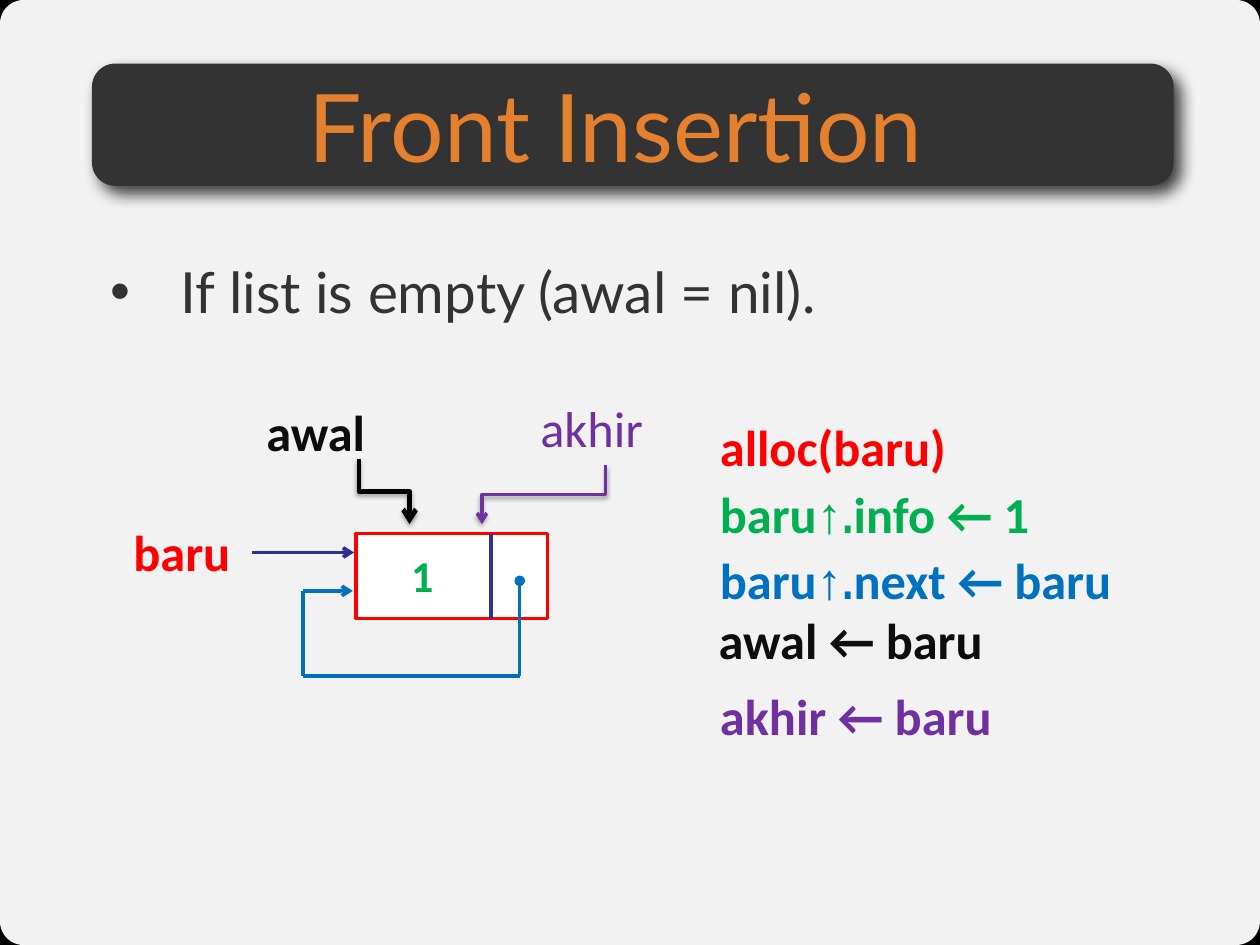
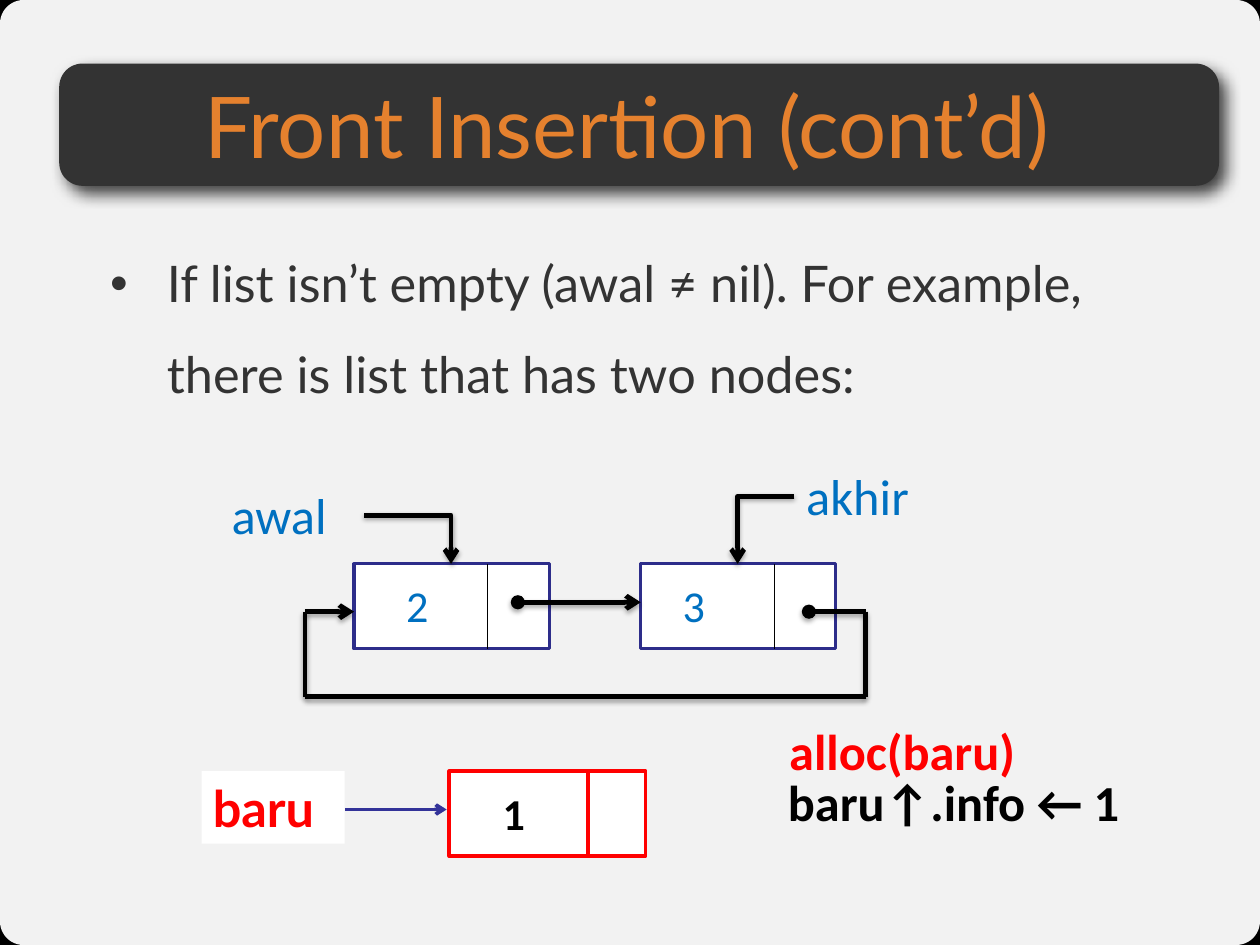
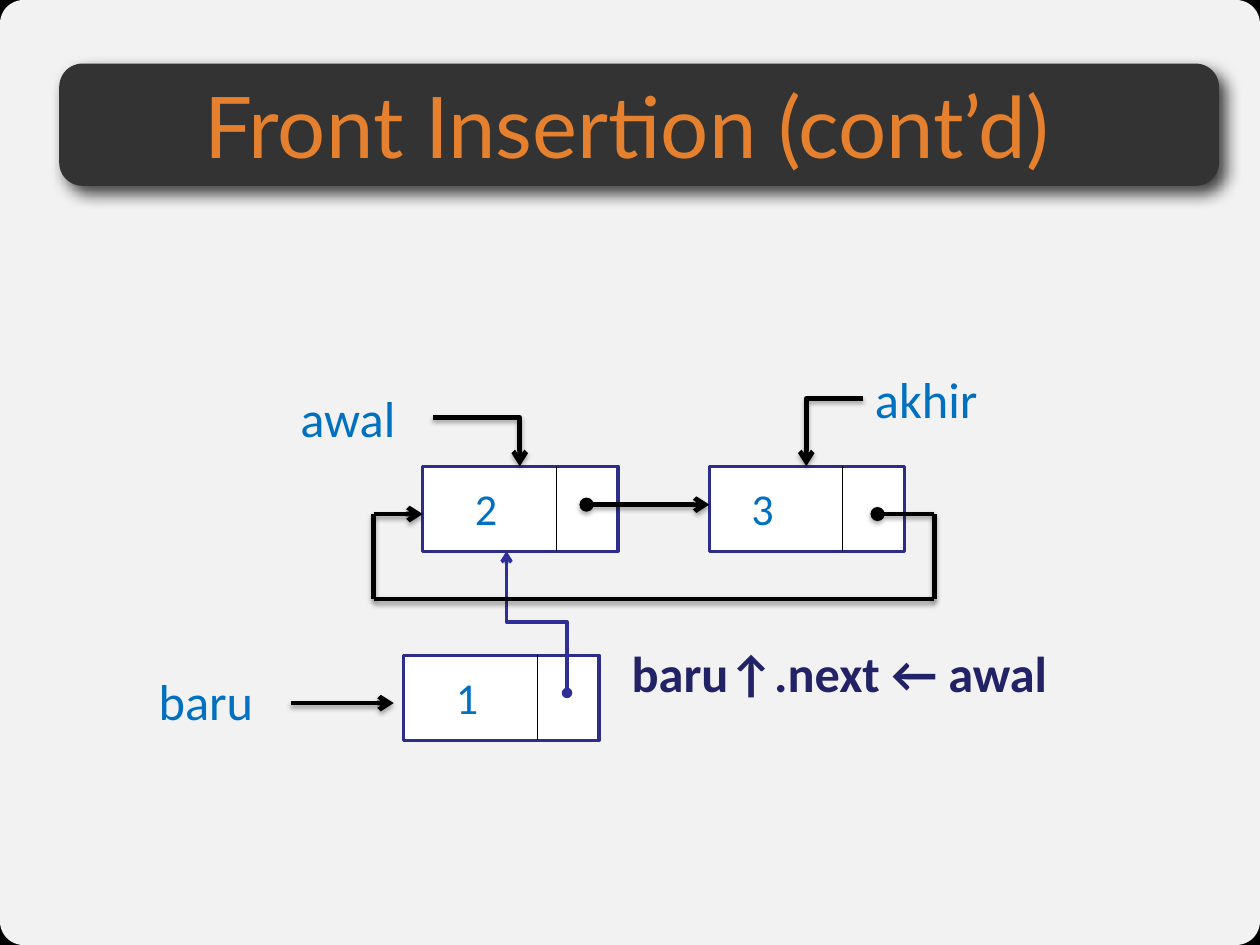
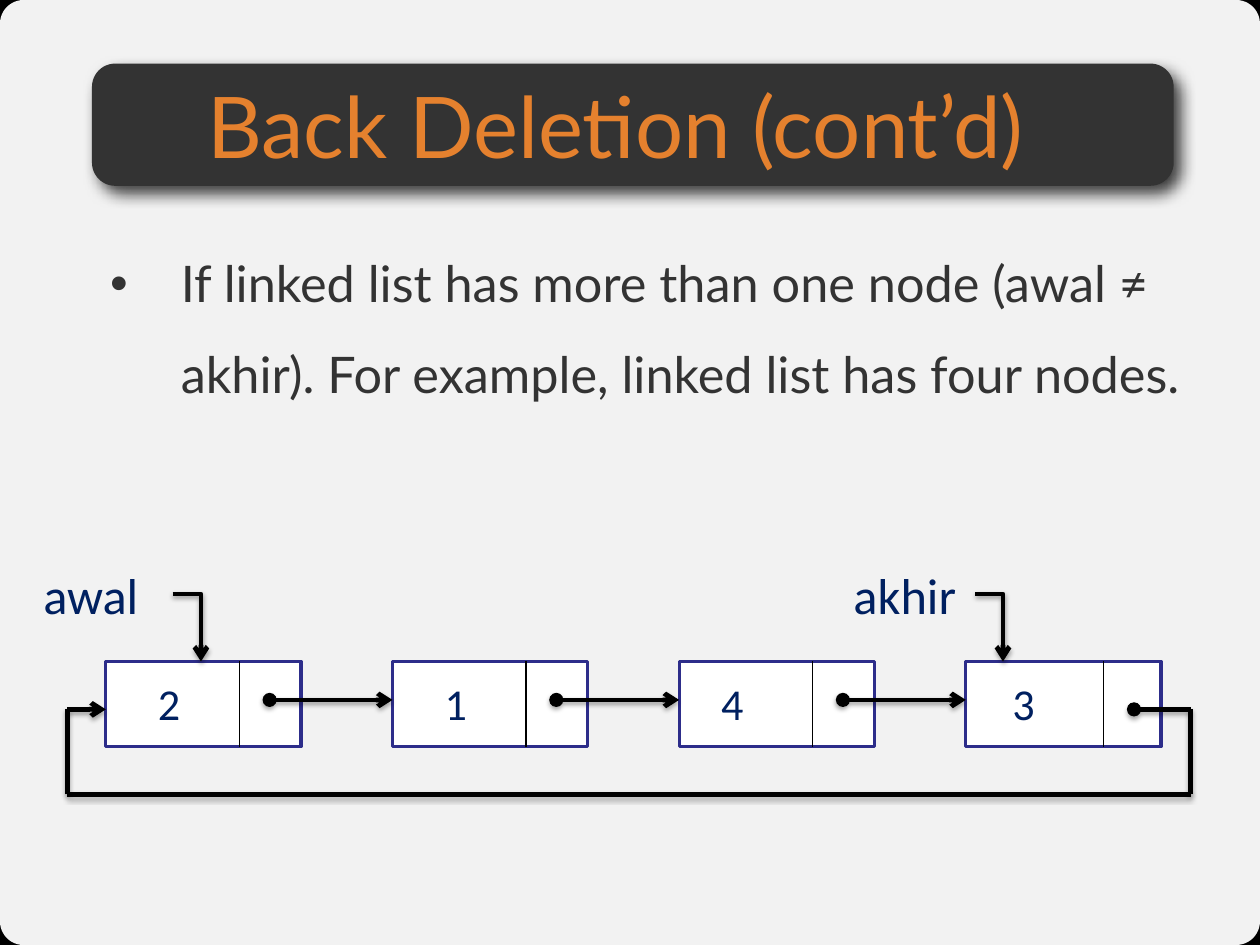
from dataclasses import dataclass
from typing import Optional, Sequence

from lxml.etree import SubElement
from pptx import Presentation
from pptx.dml.color import RGBColor
from pptx.enum.shapes import MSO_CONNECTOR, MSO_SHAPE
from pptx.enum.text import MSO_ANCHOR, PP_ALIGN
from pptx.oxml.ns import qn
from pptx.util import Emu, Pt

# The slide is a grid of 100 columns by 75 rows of square cells
CELL = Pt(8)
COLUMNS, ROWS = 100, 75

COLORS = {
    "backdrop": "000000", "panel": "FFFFFF", "band": "333333",
    "title": "E5812E", "body": "333333", "black": "000000",
    "ink": "0D0D0D", "red": "FF0000", "green": "00B050",
    "blue": "0070C0", "purple": "7030A0", "deep": "002060",
    "frame": "2D2D8A", "indigo": "2F2F98", "violet": "333399",
    "midnight": "222267", "white": "FFFFFF",
}

Point = tuple[float, float]
Area = tuple[float, float, float, float]


@dataclass(frozen=True)
class Shadow:
    opacity: int
    blur: float
    distance: float
    angle: int


@dataclass(frozen=True)
class Pen:
    color: str
    width: float
    shadow: Optional[Shadow] = None


@dataclass(frozen=True)
class Style:
    color: str
    size: int = 32
    bold: bool = False
    font: str = "Calibri"


@dataclass(frozen=True)
class Span:
    text: str
    font: Optional[str] = None


@dataclass(frozen=True)
class Band:
    bar: Area
    text: Area


@dataclass(frozen=True)
class Node:
    value: str
    label_x: float = 3.25
    divider: float = 10.6
    width: float = 15.5


@dataclass(frozen=True)
class Pointer:
    """A named pointer; its places are relative to the node's corner."""
    word: str
    node: int
    label: Point
    start: Point
    end_x: float


@dataclass(frozen=True)
class Ring:
    left: float
    top: float
    nodes: tuple[Node, ...]
    pointers: tuple[Pointer, ...]
    color: str
    overhang: float = 3.9


BAND_SHADOW = Shadow(75, 10, 6, 51)
LINE_SHADOW = Shadow(35, 3.1, 1.8, 90)
HEAVY = Pen("black", 3, LINE_SHADOW)
HAIRLINE = Pen("black", 0.75)
FRAME = Pen("frame", 2)
RED_FRAME = Pen("red", 2.25)
INDIGO = Pen("indigo", 2.25)

NARROW_BAND = Band((7.3, 5.05, 85.85, 9.7), (6.1, 5.4, 85.5, 9))
WIDE_BAND = Band((4.7, 5.05, 92.05, 9.7), (4.7, 5.4, 90.1, 9))

NODE_HEIGHT, NODE_PITCH = 6.75, 22.75
LABEL_SIZE = (11.35, 5.75)
CODE_SIZE = (37.5, 5.75)

PAIR_NODES = (Node("2"), Node("3", label_x=2.45))
PAIR_POINTERS = (
    Pointer("awal", 0, (-10.6, -6.75), (0.8, -3.85), 7.7),
    Pointer("akhir", 1, (12.25, -8.25), (12.2, -5.35), 7.7),
)


def cells(*values: float) -> list[Emu]:
    return [Emu(round(value * CELL)) for value in values]


def rgb(name: str) -> RGBColor:
    return RGBColor.from_string(COLORS[name])


def add_shadow(shape, shadow: Optional[Shadow]) -> None:
    properties = shape.element.spPr
    effects = properties.find(qn("a:effectLst"))
    if effects is None:
        effects = SubElement(properties, qn("a:effectLst"))
    if shadow:
        outer = SubElement(effects, qn("a:outerShdw"), {
            "blurRad": str(Pt(shadow.blur)), "dist": str(Pt(shadow.distance)),
            "dir": str(shadow.angle * 60000), "rotWithShape": "0"})
        color = SubElement(outer, qn("a:srgbClr"), val=COLORS["black"])
        SubElement(color, qn("a:alpha"), val=str(shadow.opacity * 1000))


# Boxes and text

def add_box(page, area: Area, fill: str, pen: Optional[Pen] = None,
            rounding: Optional[float] = None):
    kind = MSO_SHAPE.RECTANGLE if rounding is None else MSO_SHAPE.ROUNDED_RECTANGLE
    box = page.shapes.add_shape(kind, *cells(*area))
    if rounding is not None:
        box.adjustments[0] = rounding
    box.shadow.inherit = False
    box.fill.solid()
    box.fill.fore_color.rgb = rgb(fill)
    if pen:
        box.line.color.rgb = rgb(pen.color)
        box.line.width = Pt(pen.width)
    else:
        box.line.fill.background()
    return box


def add_text(page, area: Area, text: str | Sequence[Span], style: Style,
             fill: Optional[str] = None, inset: bool = True):
    box = page.shapes.add_textbox(*cells(*area))
    frame = box.text_frame
    frame.word_wrap = True
    if not inset:
        frame.margin_left = frame.margin_right = 0
        frame.margin_top = frame.margin_bottom = 0
    if fill:
        box.fill.solid()
        box.fill.fore_color.rgb = rgb(fill)
    para = frame.paragraphs[0]
    para.font.size = Pt(style.size)
    para.font.bold = style.bold
    para.font.name = style.font
    para.font.color.rgb = rgb(style.color)
    for span in [Span(text)] if isinstance(text, str) else text:
        run = para.add_run()
        run.text = span.text
        if span.font:
            run.font.name = span.font
    return box


def add_label(page, left: float, top: float, word: str, style: Style,
              fill: Optional[str] = None) -> None:
    add_text(page, (left, top, *LABEL_SIZE), word, style, fill)


def add_code(page, left: float, top: float, text: str | Sequence[Span],
             color: str) -> None:
    add_text(page, (left, top, *CODE_SIZE), text, Style(color, bold=True))


def add_bullet(page, text: str, size: int, indent: float) -> None:
    box = add_text(page, (8.75, 17.65, 86, 50.3), text,
                   Style("body", size, font="Lato"), inset=False)
    para = box.text_frame.paragraphs[0]
    para.line_spacing = 1.5
    properties = para._p.get_or_add_pPr()
    margin = cells(indent)[0]
    properties.set("marL", str(margin))
    properties.set("indent", str(-margin))
    # Bullet marks come before the default run properties
    defaults = properties.find(qn("a:defRPr"))
    for tag, name, value in (("a:buFont", "typeface", "Arial"),
                             ("a:buChar", "char", "•")):
        defaults.addprevious(SubElement(properties, qn(tag), {name: value}))


# Lines and arrows

def finish_line(line, pen: Pen, head: Optional[str], tail: Optional[str]) -> None:
    line.line.color.rgb = rgb(pen.color)
    line.line.width = Pt(pen.width)
    stroke = line.element.spPr.find(qn("a:ln"))
    for tag, kind in (("a:headEnd", head), ("a:tailEnd", tail)):
        if kind:
            SubElement(stroke, qn(tag), type=kind)
    add_shadow(line, pen.shadow)


def add_route(page, points: Sequence[Point], pen: Pen,
              head: Optional[str] = None, tail: Optional[str] = None) -> None:
    """Straight lines from point to point, with marks at both ends."""
    last = len(points) - 2
    for index, (start, end) in enumerate(zip(points, points[1:])):
        line = page.shapes.add_connector(
            MSO_CONNECTOR.STRAIGHT, *cells(*start, *end))
        finish_line(line, pen, head if index == 0 else None,
                    tail if index == last else None)


def add_corner(page, start: Point, end: Point, pen: Pen) -> None:
    """An arrow that runs sideways, then turns once."""
    line = page.shapes.add_connector(MSO_CONNECTOR.ELBOW, *cells(*start, *end))
    line.element.spPr.find(qn("a:prstGeom")).set("prst", "bentConnector2")
    finish_line(line, pen, None, "arrow")


def add_step(page, start: Point, end: Point, pen: Pen,
             head: Optional[str] = None) -> None:
    """An arrow that leaves vertically and shifts sideways half way."""
    (x1, y1), (x2, y2) = start, end
    width, height = abs(y2 - y1), abs(x2 - x1)
    left, top = (x1 + x2 - width) / 2, (y1 + y2 - height) / 2
    line = page.shapes.add_connector(
        MSO_CONNECTOR.ELBOW, *cells(left, top, left + width, top + height))
    down, leftward = y2 > y1, x2 < x1
    line.rotation = 90 if down and leftward else 270
    frame = line.element.spPr.find(qn("a:xfrm"))
    if down and not leftward:
        frame.set("flipH", "1")
    if not down and leftward:
        frame.set("flipV", "1")
    finish_line(line, pen, head, "arrow")


# List nodes and rings

def add_node(page, left: float, top: float, node: Node, style: Style,
             frame: Pen = FRAME, divider: Pen = HAIRLINE) -> None:
    add_box(page, (left, top, node.width, NODE_HEIGHT), "white", frame)
    middle = left + node.divider
    add_route(page, [(middle, top), (middle, top + NODE_HEIGHT)], divider)
    add_text(page, (left + node.label_x, top + 0.75, 5.65, 5.1), node.value, style)


def add_ring(page, ring: Ring) -> None:
    top = ring.top
    lefts = [ring.left + index * NODE_PITCH for index in range(len(ring.nodes))]
    for left, node in zip(lefts, ring.nodes):
        add_node(page, left, top, node, Style(ring.color, 28))
    for left, following in zip(lefts, lefts[1:]):
        add_route(page, [(left + 13, top + 3.05), (following, top + 3.05)],
                  HEAVY, "oval", "arrow")
    for pointer in ring.pointers:
        left = lefts[pointer.node]
        add_label(page, left + pointer.label[0], top + pointer.label[1],
                  pointer.word, Style(ring.color))
        add_corner(page, (left + pointer.start[0], top + pointer.start[1]),
                   (left + pointer.end_x, top), HEAVY)
    # The way back from the last node to the first
    exit_x, entry_x = lefts[-1] + 17.85, ring.left - ring.overhang
    middle, bottom = top + 3.8, top + 10.55
    add_route(page, [(lefts[-1] + 13.35, middle), (exit_x, middle),
                     (exit_x, bottom), (entry_x, bottom),
                     (entry_x, middle), (ring.left, middle)],
              HEAVY, "oval", "arrow")


# Slides

def add_page(deck, title: str, band: Band, size: int = 54):
    page = deck.slides.add_slide(deck.slide_layouts[6])
    panel = add_box(page, (0, 0, COLUMNS, ROWS), "panel", rounding=0.025)
    color = panel.element.spPr.find(qn("a:solidFill")).find(qn("a:srgbClr"))
    SubElement(color, qn("a:alpha"), val="95000")
    bar = add_box(page, band.bar, "band", rounding=0.19)
    add_shadow(bar, BAND_SHADOW)
    box = add_text(page, band.text, title, Style("title", size, font="Lato"),
                   inset=False)
    box.text_frame.vertical_anchor = MSO_ANCHOR.MIDDLE
    box.text_frame.paragraphs[0].alignment = PP_ALIGN.CENTER
    return page


def build_empty_list(deck) -> None:
    page = add_page(deck, "Front Insertion", NARROW_BAND, 60)
    add_bullet(page, "If list is empty (awal = nil).", 36, 5.6)
    # The new node and the pointers to it
    add_label(page, 20.25, 31.4, "awal", Style("ink", bold=True))
    add_label(page, 42, 31.1, "akhir", Style("purple"))
    add_label(page, 9.7, 40.9, "baru", Style("red", bold=True))
    add_step(page, (28.5, 36.4), (32.5, 41.6), HEAVY)
    add_node(page, 28.25, 42.35, Node("1", 3.5, 10.7, 15.2),
             Style("green", 28, True), RED_FRAME, INDIGO)
    add_route(page, [(20, 43.85), (28.1, 43.85)], INDIGO, tail="arrow")
    add_step(page, (48.05, 36.9), (38.25, 41.6),
             Pen("purple", 2.25, LINE_SHADOW))
    # The steps in code
    arrow = Span("↑.", "Arial Narrow")
    add_code(page, 56.25, 32.6, "alloc(baru)", "red")
    add_code(page, 56.25, 37.9, [Span("baru"), arrow, Span("info ← 1")], "green")
    add_code(page, 56.25, 43.1, [Span("baru"), arrow, Span("next ← baru")], "blue")
    add_code(page, 56.15, 47.9, "awal ← baru", "ink")
    add_code(page, 56.25, 53.9, "akhir ← baru", "purple")
    # The node points to itself
    add_route(page, [(41.25, 46.1), (41.25, 53.65), (24.05, 53.65),
                     (24.05, 46.9), (28, 46.9)],
              Pen("blue", 2.25), "oval", "arrow")


def build_two_nodes(deck) -> None:
    page = add_page(deck, "Front Insertion (cont’d)", WIDE_BAND)
    add_bullet(page, "If list isn’t empty (awal ≠ nil). For example, "
                     "there is list that has two nodes:", 32, 4.5)
    # The new node
    add_node(page, 35.65, 61.2, Node("1", 3.35, 11, 15.6),
             Style("black", 28, True), RED_FRAME, RED_FRAME)
    add_label(page, 16, 61.2, "baru", Style("red", bold=True, font="Lato"), "white")
    add_route(page, [(27.4, 64.25), (35.45, 64.25)], Pen("violet", 2.25),
              tail="arrow")
    add_code(page, 61.75, 56.7, "alloc(baru)", "red")
    add_code(page, 61.65, 60.75, "baru↑.info ← 1", "black")
    add_ring(page, Ring(28.1, 44.75, PAIR_NODES, PAIR_POINTERS, "blue"))


def build_linked_node(deck) -> None:
    page = add_page(deck, "Front Insertion (cont’d)", WIDE_BAND)
    # The new node and its link to the first one
    add_node(page, 32.05, 52, Node("1"), Style("blue", 28))
    add_label(page, 11.7, 52.75, "baru", Style("blue"))
    add_route(page, [(23.1, 55.8), (31.25, 55.8)], HEAVY, tail="arrow")
    add_code(page, 49.25, 50.5, "baru↑.next ← awal", "midnight")
    add_step(page, (45, 55), (40.2, 43.75), INDIGO, "oval")
    add_ring(page, Ring(33.55, 37, PAIR_NODES, PAIR_POINTERS, "blue"))


def build_four_nodes(deck) -> None:
    page = add_page(deck, "Back Deletion (cont’d)", NARROW_BAND)
    add_bullet(page, "If linked list has more than one node (awal ≠ akhir). "
                     "For example, linked list has four nodes.", 32, 5.6)
    nodes = (Node("2"), Node("1"), Node("4", 2.45), Node("3", 2.8, 10.95))
    pointers = (
        Pointer("awal", 0, (-5.85, -8.2), (5.3, -5.35), 7.55),
        Pointer("akhir", 3, (-9.8, -8.2), (0.75, -5.35), 2.95),
    )
    add_ring(page, Ring(8.4, 52.5, nodes, pointers, "deep", 3.05))


def main() -> None:
    deck = Presentation()
    deck.slide_width, deck.slide_height = cells(COLUMNS, ROWS)
    backdrop = deck.slide_master.background.fill
    backdrop.solid()
    backdrop.fore_color.rgb = rgb("backdrop")
    for build in (build_empty_list, build_two_nodes,
                  build_linked_node, build_four_nodes):
        build(deck)
    deck.save("out.pptx")


if __name__ == "__main__":
    main()
